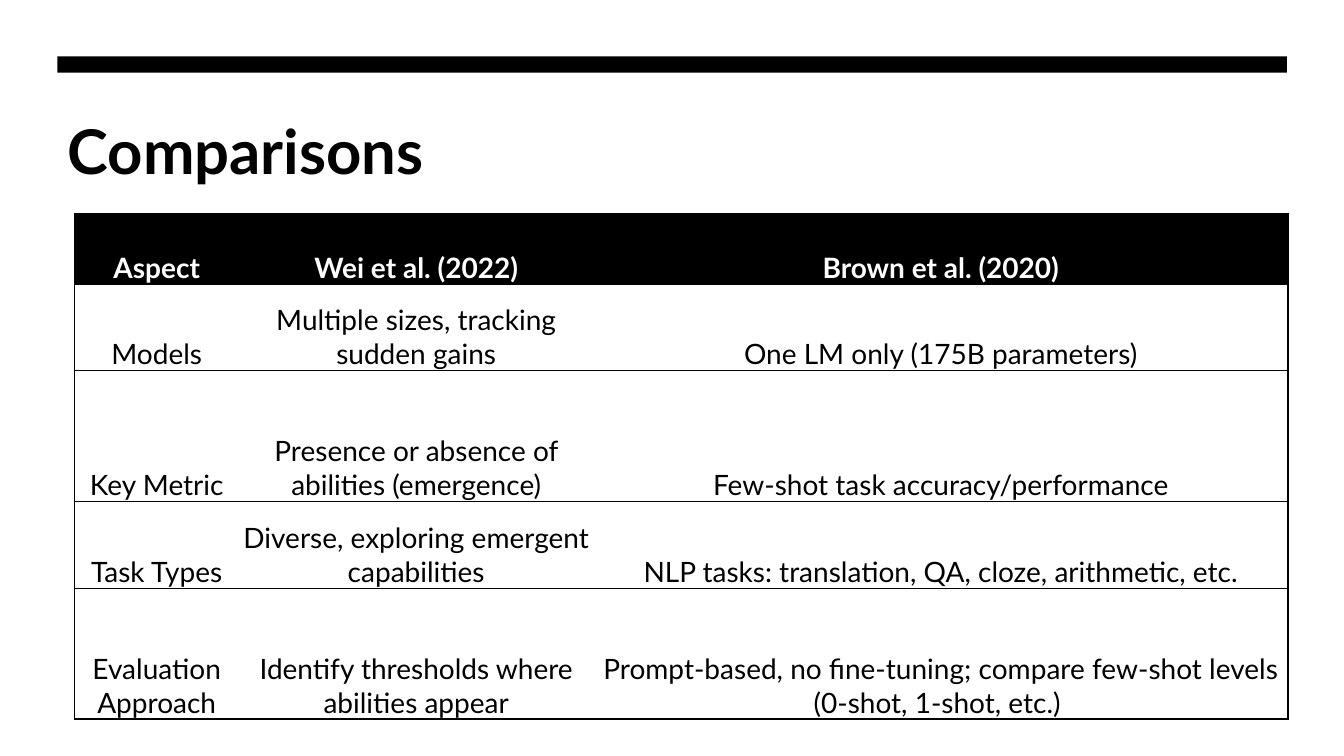
from lxml import etree
from pptx import Presentation, util as u
from pptx.dml.color import RGBColor
from pptx.enum import shapes, text
from pptx.oxml import ns

BLACK = RGBColor(0, 0, 0)
WHITE = RGBColor(255, 255, 255)
FONT = "Lato"

ROWS = [
    ("Aspect", "Wei et al. (2022)", "Brown et al. (2020)"),
    ("Models", "Multiple sizes, tracking sudden gains",
     "One LM only (175B parameters)"),
    ("Key Metric", "Presence or absence of abilities (emergence)",
     "Few-shot task accuracy/performance"),
    ("Task Types", "Diverse, exploring emergent capabilities",
     "NLP tasks: translation, QA, cloze, arithmetic, etc."),
    ("Evaluation Approach", "Identify thresholds where abilities appear",
     "Prompt-based, no fine-tuning; compare few-shot levels (0-shot, 1-shot, etc.) "),
]
WIDTHS = [4.14, 8.94, 17.5]
HEIGHTS = [1.78, 2.18, 3.3, 2.18, 3.3]


def add_run(para, words, size, bold, color):
    run = para.add_run()
    run.text = words
    font = run.font
    font.name = FONT
    font.size = u.Pt(size)
    font.bold = bold
    font.color.rgb = color


def set_edge(cell, pos, side, shown):
    line = etree.Element(ns.qn("a:ln" + side), w=str(u.Pt(1)))
    if shown:
        fill = etree.SubElement(line, ns.qn("a:solidFill"))
        etree.SubElement(fill, ns.qn("a:srgbClr"), val=str(BLACK))
    else:
        etree.SubElement(line, ns.qn("a:noFill"))
    cell._tc.get_or_add_tcPr().insert(pos, line)


deck = Presentation()
deck.slide_width = u.Cm(33.87)
deck.slide_height = u.Cm(19.05)
slide = deck.slides.add_slide(deck.slide_layouts[5])

bar = slide.shapes.add_shape(
    shapes.MSO_SHAPE.RECTANGLE, u.Cm(1.45), u.Cm(1.42), u.Cm(30.98), u.Cm(0.41))
bar.shadow.inherit = False
bar.fill.solid()
bar.fill.fore_color.rgb = BLACK
bar.line.fill.background()

title = slide.shapes.title
title.left, title.top = u.Cm(1.45), u.Cm(2.72)
title.width, title.height = u.Cm(30.98), u.Cm(4.06)
frame = title.text_frame
frame.vertical_anchor = text.MSO_ANCHOR.TOP
frame.paragraphs[0].alignment = text.PP_ALIGN.LEFT
add_run(frame.paragraphs[0], "Comparisons", 44, True, BLACK)

table = slide.shapes.add_table(
    len(ROWS), len(WIDTHS), u.Cm(1.88), u.Cm(5.38),
    u.Cm(sum(WIDTHS)), u.Cm(sum(HEIGHTS))).table
table.horz_banding = False
for col, width in zip(table.columns, WIDTHS):
    col.width = u.Cm(width)
for row, height in zip(table.rows, HEIGHTS):
    row.height = u.Cm(height)

last = len(WIDTHS) - 1
for r, row in enumerate(ROWS):
    head = r == 0
    for c, words in enumerate(row):
        cell = table.cell(r, c)
        cell.fill.solid()
        cell.fill.fore_color.rgb = BLACK if head else WHITE
        cell.vertical_anchor = text.MSO_ANCHOR.BOTTOM
        cell.margin_left = cell.margin_right = cell.margin_top = u.Cm(0.02)
        cell.margin_bottom = 0
        edges = [("L", c == 0), ("R", c == last), ("T", True), ("B", True)]
        for pos, (side, shown) in enumerate(edges):
            set_edge(cell, pos, side, shown)
        para = cell.text_frame.paragraphs[0]
        para.alignment = text.PP_ALIGN.CENTER
        add_run(para, words, 20, head, WHITE if head else BLACK)

deck.save("out.pptx")
